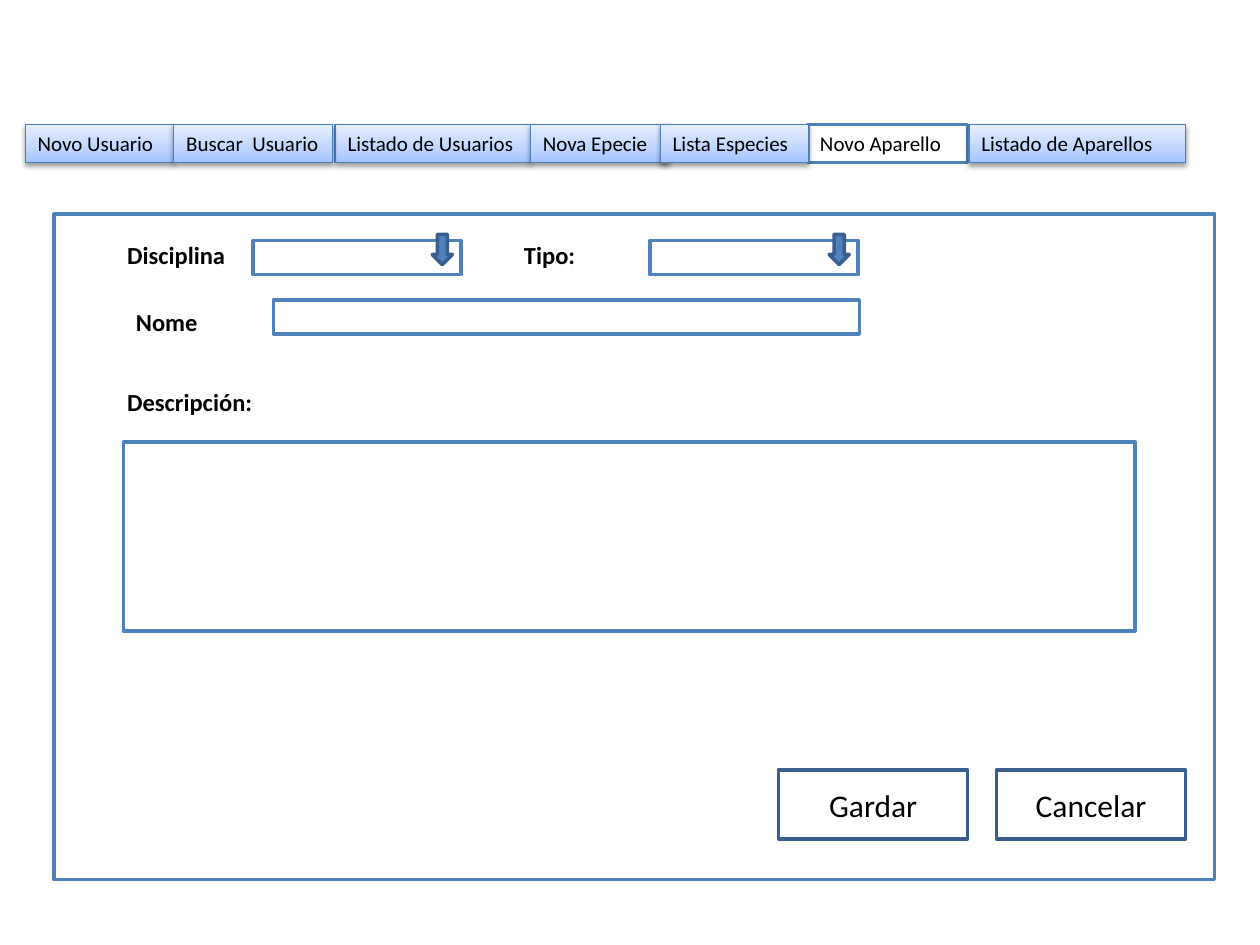
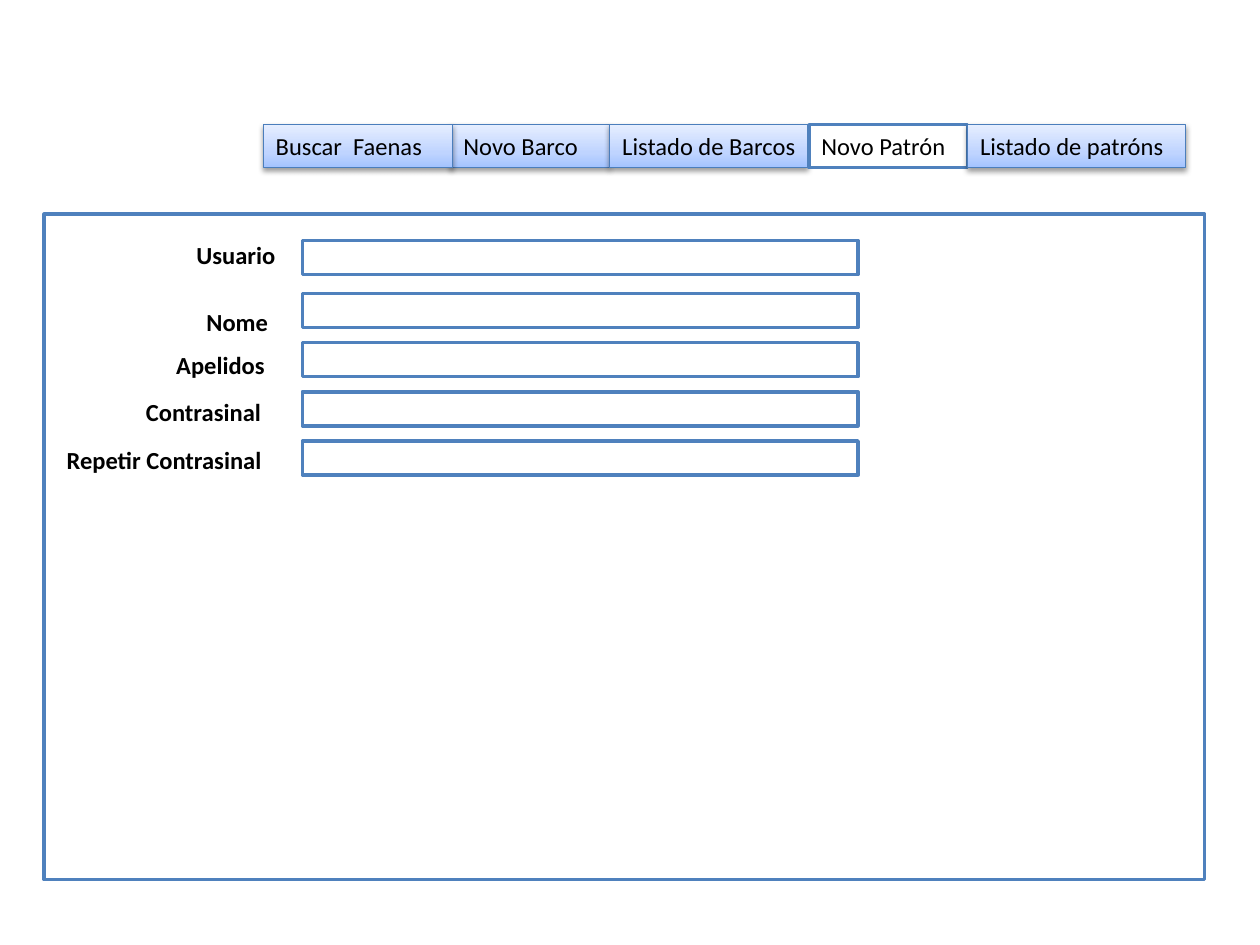
from copy import deepcopy
from dataclasses import dataclass

from lxml.etree import SubElement
from pptx import Presentation
from pptx.dml.color import RGBColor
from pptx.enum.shapes import MSO_SHAPE
from pptx.enum.text import MSO_ANCHOR, MSO_AUTO_SIZE, PP_ALIGN
from pptx.oxml.ns import qn
from pptx.util import Inches, Pt


@dataclass(frozen=True)
class Theme:
    font: str = "Calibri"
    text: str = "000000"
    white: str = "FFFFFF"
    accent: str = "4F81BD"
    dark: str = "3A5F8C"
    tab_line: str = "4B7EBC"
    tab_stops: tuple = ((0, "A4C4FF"), (0.35, "BFD4FF"), (1, "E6EEFF"))
    line: float = 2
    tab_line_width: float = 0.75
    small: int = 12
    label: int = 14
    button: int = 18


@dataclass(frozen=True)
class Box:
    left: float
    top: float
    width: float
    height: float

    def inside(self, left, top, width, height):
        return Box(self.left + left, self.top + top, width, height)


THEME = Theme()
FIELD_HEIGHT = 0.27
LABEL_HEIGHT = 0.34


def add_box(slide, box, line=THEME.accent, fill=THEME.white, kind=MSO_SHAPE.RECTANGLE):
    lengths = (box.left, box.top, box.width, box.height)
    shape = slide.shapes.add_shape(kind, *map(Inches, lengths))
    shape.shadow.inherit = False
    shape.fill.solid()
    shape.fill.fore_color.rgb = RGBColor.from_string(fill)
    shape.line.color.rgb = RGBColor.from_string(line)
    shape.line.width = Pt(THEME.line)
    return shape


def write(shape, text, size, bold=False, centred=False):
    frame = shape.text_frame
    frame.word_wrap = True
    frame.vertical_anchor = MSO_ANCHOR.MIDDLE if centred else MSO_ANCHOR.TOP
    if not centred:
        frame.margin_right = 0
        frame.auto_size = MSO_AUTO_SIZE.SHAPE_TO_FIT_TEXT
    paragraph = frame.paragraphs[0]
    paragraph.alignment = PP_ALIGN.CENTER if centred else PP_ALIGN.LEFT
    run = paragraph.add_run()
    run.text = text
    run.font.name = THEME.font
    run.font.size = Pt(size)
    run.font.bold = bold
    run.font.color.rgb = RGBColor.from_string(THEME.text)


def shade_tab(shape):
    shape.line.color.rgb = RGBColor.from_string(THEME.tab_line)
    shape.line.width = Pt(THEME.tab_line_width)
    shape.fill.gradient()
    shape.fill.gradient_angle = 90
    stop_list = next(shape.element.iter(qn("a:gsLst")))
    stop_list.append(deepcopy(stop_list[0]))
    for stop, (position, color) in zip(shape.fill.gradient_stops, THEME.tab_stops):
        stop.position = position
        stop.color.rgb = RGBColor.from_string(color)
    effects = next(shape.element.iter(qn("a:effectLst")))
    shadow = SubElement(effects, qn("a:outerShdw"), blurRad=str(Pt(3.1)),
                        dist=str(Pt(1.6)), dir="5400000", rotWithShape="0")
    color = SubElement(shadow, qn("a:srgbClr"), val=THEME.text)
    SubElement(color, qn("a:alpha"), val="38000")


def add_tabs(slide, bar, tabs, active, size):
    for text, left, width in tabs:
        shape = add_box(slide, bar.inside(left, 0, width, bar.height))
        if text != active:
            shade_tab(shape)
        write(shape, text, size)


def add_label(slide, panel, text, left, top, width):
    shape = add_box(slide, panel.inside(left, top, width, LABEL_HEIGHT), THEME.white)
    write(shape, text, THEME.label, bold=True)


def add_dropdown(slide, box):
    add_box(slide, box)
    arrow = add_box(slide, box.inside(box.width - 0.27, -0.01, 0.24, 0.16),
                    THEME.dark, THEME.accent, MSO_SHAPE.RIGHT_ARROW)
    arrow.rotation = 90


def add_buttons(slide, row, captions):
    for index, caption in enumerate(captions):
        box = row.inside(index * 1.73, 0, 1.5, row.height)
        write(add_box(slide, box, THEME.dark), caption, THEME.button, centred=True)


def add_gear_form(slide, panel):
    add_box(slide, panel)
    labels = (("Disciplina", 0.48, 0.16), ("Nome", 0.55, 0.69),
              ("Descripción:", 0.48, 1.32), ("Tipo:", 3.63, 0.16))
    for text, left, top in labels:
        add_label(slide, panel, text, left, top, 2.52)
    for left in (1.58, 4.73):
        add_dropdown(slide, panel.inside(left, 0.21, 1.65, FIELD_HEIGHT))
    add_box(slide, panel.inside(1.74, 0.68, 4.65, FIELD_HEIGHT))
    add_box(slide, panel.inside(0.55, 1.81, 8.03, 1.5))
    add_buttons(slide, panel.inside(5.75, 4.41, 3.23, 0.55), ("Gardar", "Cancelar"))


def add_skipper_form(slide, panel):
    add_box(slide, panel)
    rows = (("Usuario", 1.11, 0.16, 2.52), ("Nome", 1.19, 0.69, 0.87),
            ("Apelidos", 0.95, 1.03, 0.94), ("Contrasinal", 0.71, 1.4, 1.26),
            ("Repetir Contrasinal", 0.08, 1.78, 1.89))
    for row in rows:
        add_label(slide, panel, *row)
    field_tops = [0.21] + [0.63 + 0.39 * index for index in range(len(rows) - 1)]
    for top in field_tops:
        add_box(slide, panel.inside(2.05, top, 4.41, FIELD_HEIGHT))


def main():
    presentation = Presentation()
    presentation.slide_width = Inches(10)
    presentation.slide_height = Inches(7.5)
    blank = presentation.slide_layouts[6]

    gear_slide = presentation.slides.add_slide(blank)
    add_gear_form(gear_slide, Box(0.43, 1.7, 9.21, 5.28))
    gear_tabs = (("Novo Usuario", 0, 1.18), ("Listado de Usuarios", 2.46, 1.55),
                 ("Novo Aparello", 6.21, 1.27), ("Listado de Aparellos", 7.49, 1.72),
                 ("Buscar  Usuario", 1.18, 1.26), ("Nova Epecie", 4.01, 1.1),
                 ("Lista Especies", 5.04, 1.18))
    add_tabs(gear_slide, Box(0.2, 0.99, 9.21, 0.3), gear_tabs, "Novo Aparello", THEME.small)

    skipper_slide = presentation.slides.add_slide(blank)
    add_skipper_form(skipper_slide, Box(0.35, 1.7, 9.21, 5.28))
    skipper_tabs = (("Novo Barco", 1.49, 1.26), ("Listado de Barcos", 2.75, 1.57),
                    ("Novo Patrón", 4.33, 1.26), ("Listado de patróns", 5.59, 1.73),
                    ("Buscar  Faenas", 0, 1.5))
    add_tabs(skipper_slide, Box(2.09, 0.99, 7.32, 0.34), skipper_tabs, "Novo Patrón", THEME.label)

    presentation.save("out.pptx")


if __name__ == "__main__":
    main()
